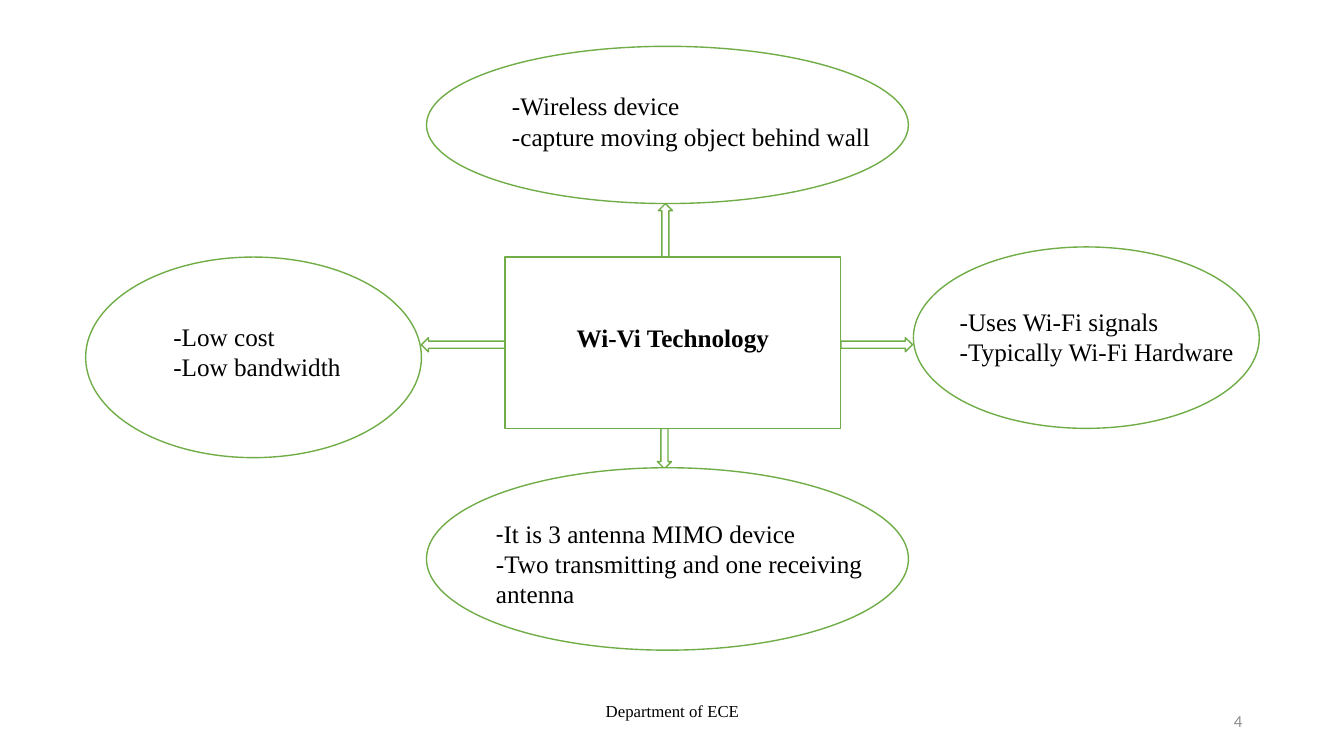
from pptx import Presentation
from pptx import util as u
from pptx.dml.color import RGBColor
from pptx.enum import shapes, text

PX = 9144  # EMU in one px, 100 px to the inch
HUES = {"white": "FFFFFF", "green": "70AD47", "black": "000000", "grey": "8C8C8C"}
SERIF, SANS = "Times New Roman", "Calibri"
KIND = shapes.MSO_SHAPE
ALIGN, ANCHOR = text.PP_ALIGN, text.MSO_ANCHOR


def hue(name):
    return RGBColor.from_string(HUES[name])


def scale(*sizes):
    return [u.Emu(size * PX) for size in sizes]


def add_node(slide, kind, *area):
    node = slide.shapes.add_shape(kind, *scale(*area))
    node.shadow.inherit = False
    node.fill.solid()
    node.fill.fore_color.rgb = hue("white")
    node.line.color.rgb = hue("green")
    node.line.width = u.Pt(1)


def style(run, size, face, color, bold):
    font = run.font
    font.size, font.name, font.bold = u.Pt(size), face, bold
    font.color.rgb = hue(color)


def add_text(slide, area, lines, size=18, face=SERIF, color="black", bold=False,
             align=ALIGN.LEFT):
    frame = slide.shapes.add_textbox(*scale(*area)).text_frame
    frame.word_wrap = True
    frame.text = "\n".join(lines)
    for para in frame.paragraphs:
        para.alignment = align
        for run in para.runs:
            style(run, size, face, color, bold)
    return frame


def add_foot(slide, area, line, align, anchor, **look):
    frame = add_text(slide, area, [line], size=12, align=align, **look)
    frame.margin_top = frame.margin_bottom = 0
    frame.vertical_anchor = anchor


def main():
    deck = Presentation()
    deck.slide_width, deck.slide_height = scale(1333, 750)
    slide = deck.slides.add_slide(deck.slide_layouts[6])

    for kind, *area in (
        (KIND.DOWN_ARROW, 652, 425, 14, 40),
        (KIND.LEFT_ARROW, 418, 335, 83, 14),
        (KIND.RIGHT_ARROW, 834, 335, 71, 14),
        (KIND.UP_ARROW, 653, 202, 14, 53),
        (KIND.OVAL, 85, 255, 333, 199),
        (KIND.OVAL, 423, 464, 478, 181),
        (KIND.OVAL, 906, 245, 343, 180),
        (KIND.OVAL, 423, 46, 478, 156),
        (KIND.RECTANGLE, 501, 255, 333, 170),
    ):
        add_node(slide, kind, *area)

    add_foot(slide, (442, 695, 450, 40), "Department of ECE", ALIGN.CENTER, ANCHOR.TOP)
    add_foot(slide, (942, 695, 300, 40), "4", ALIGN.RIGHT, ANCHOR.MIDDLE,
             face=SANS, color="grey")

    add_text(slide, (498, 85, 667, 71),
             ["-Wireless device", "-capture moving object behind wall"])
    add_text(slide, (942, 299, 390, 71),
             ["-Uses Wi-Fi signals", "-Typically Wi-Fi Hardware"])
    radio = add_text(slide, (482, 509, 409, 101),
                     ["-", "-Two transmitting and one receiving antenna"])
    first = radio.paragraphs[0]
    first.runs[0].font.name = SANS
    rest = first.add_run()
    rest.text = "It is 3 antenna MIMO device"
    style(rest, 18, SERIF, "black", False)
    add_text(slide, (162, 314, 379, 71), ["-Low cost", "-Low bandwidth"])
    add_text(slide, (562, 315, 305, 40), ["Wi-Vi Technology"], bold=True)

    deck.save("out.pptx")


if __name__ == "__main__":
    main()
